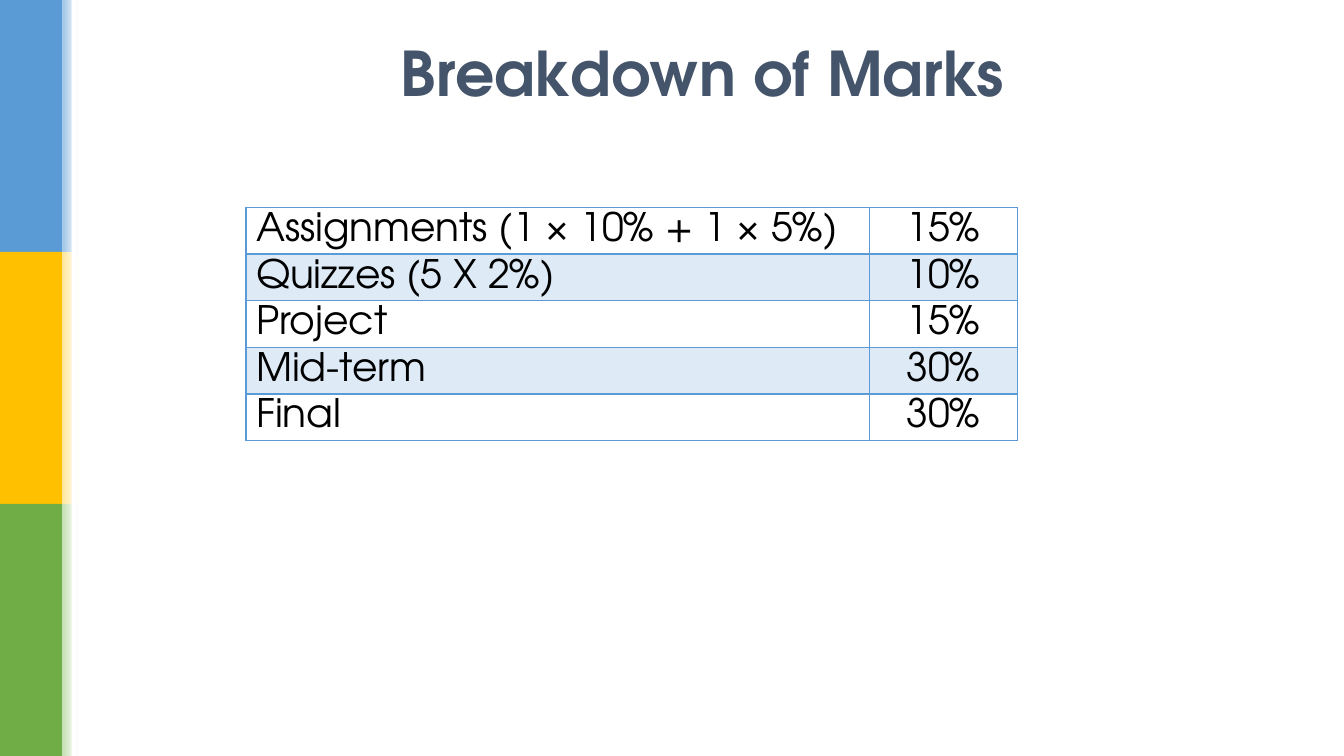
from dataclasses import dataclass

from lxml.etree import SubElement
from pptx import Presentation
from pptx.dml.color import RGBColor
from pptx.enum.shapes import MSO_SHAPE as Preset
from pptx.enum.text import MSO_ANCHOR as Anchor, PP_ALIGN as Align
from pptx.oxml.ns import qn
from pptx.util import Inches, Pt

FONT = "TeX Gyre Adventor"
WHITE, BLACK, SLATE = "FFFFFF", "000000", "44546A"
BLUE, PALE_BLUE = "5B9BD5", "DEEBF7"
SLIDE_HEIGHT = 7.5
BAND_HEIGHT = SLIDE_HEIGHT / 3
BAND_WIDTH, FADE_WIDTH = 0.62, 0.16
COLUMN_WIDTHS = (6.18, 1.47)
ROW_HEIGHT, CELL_MARGIN = 0.46, 0.05


@dataclass
class Band:
    """One colour of the side bar and the tint that fades out beside it."""
    color: str
    tint: str


@dataclass
class Mark:
    """One graded item and its share of the marks."""
    item: str
    share: str


BANDS = [Band(BLUE, "9DC3E6"), Band("FFC000", "FFE699"), Band("70AD47", "C5E0B4")]
MARKS = [
    Mark("Assignments (1 × 10% + 1 × 5%)", "15%"),
    Mark("Quizzes (5 X 2%)", "10%"),
    Mark("Project", "15%"),
    Mark("Mid-term", "30%"),
    Mark("Final", "30%"),
]


def rgb(color: str) -> RGBColor:
    """Turn a hex string into a colour."""
    return RGBColor.from_string(color)


def add_bar(slide, left: float, top: float, width: float, height: float,
            color: str, fade_to: str | None = None) -> None:
    """Add a plain rectangle, fading to the right if fade_to is given."""
    shape = slide.shapes.add_shape(
        Preset.RECTANGLE, Inches(left), Inches(top), Inches(width), Inches(height))
    shape.shadow.inherit = False
    shape.line.fill.background()
    if fade_to is None:
        shape.fill.solid()
        shape.fill.fore_color.rgb = rgb(color)
        return
    shape.fill.gradient()
    shape.fill.gradient_angle = 0
    for stop, stop_color in zip(shape.fill.gradient_stops, (color, fade_to)):
        stop.color.rgb = rgb(stop_color)


def add_side_bar(slide) -> None:
    """Add the coloured bands, their fading edges and the white strip."""
    for index, band in enumerate(BANDS):
        top = index * BAND_HEIGHT
        add_bar(slide, 0, top, BAND_WIDTH, BAND_HEIGHT, band.color)
        add_bar(slide, BAND_WIDTH, top, FADE_WIDTH, BAND_HEIGHT, band.tint, WHITE)
    add_bar(slide, 0.71, 0, 0.05, SLIDE_HEIGHT, WHITE)


def format_text(paragraph, size: int, color: str, align: Align, bold: bool = False) -> None:
    """Set the font and alignment of a paragraph."""
    paragraph.alignment = align
    font = paragraph.font
    font.name, font.size, font.bold = FONT, Pt(size), bold
    font.color.rgb = rgb(color)


def add_title(slide, text: str) -> None:
    """Fill and place the title placeholder."""
    title = slide.shapes.title
    title.left, title.top = Inches(0.92), Inches(0.17)
    title.width, title.height = Inches(12.1), Inches(1.09)
    title.text_frame.text = text
    title.text_frame.vertical_anchor = Anchor.MIDDLE
    format_text(title.text_frame.paragraphs[0], 44, SLATE, Align.CENTER, bold=True)


def set_borders(cell, bottom_width: int) -> None:
    """Draw blue borders on all four sides of a cell, ahead of its fill."""
    properties = cell._tc.get_or_add_tcPr()
    widths = {"a:lnL": 1, "a:lnR": 1, "a:lnT": 1, "a:lnB": bottom_width}
    for index, (tag, width) in enumerate(widths.items()):
        line = SubElement(properties, qn(tag), w=str(Pt(width)))
        fill = SubElement(line, qn("a:solidFill"))
        SubElement(fill, qn("a:srgbClr"), val=BLUE)
        properties.insert(index, line)


def add_marks_table(slide) -> None:
    """Add the table of marks with alternating row fills."""
    table = slide.shapes.add_table(
        len(MARKS), len(COLUMN_WIDTHS), Inches(2.44), Inches(2.06),
        Inches(sum(COLUMN_WIDTHS)), Inches(ROW_HEIGHT * len(MARKS))).table
    table.first_row = table.horz_banding = False
    for column, width in zip(table.columns, COLUMN_WIDTHS):
        column.width = Inches(width)
    for row, mark in enumerate(MARKS):
        table.rows[row].height = Inches(ROW_HEIGHT)
        texts = ((mark.item, Align.LEFT), (mark.share, Align.CENTER))
        for column, (text, align) in enumerate(texts):
            cell = table.cell(row, column)
            cell.text = text
            cell.margin_top = cell.margin_bottom = Inches(CELL_MARGIN)
            format_text(cell.text_frame.paragraphs[0], 28, BLACK, align)
            cell.fill.solid()
            cell.fill.fore_color.rgb = rgb(PALE_BLUE if row % 2 else WHITE)
            set_borders(cell, bottom_width=2 if row == 0 else 1)


def main() -> None:
    """Build the slide and save it."""
    presentation = Presentation()
    presentation.slide_width = Inches(13.33)
    presentation.slide_height = Inches(SLIDE_HEIGHT)
    slide = presentation.slides.add_slide(presentation.slide_layouts[5])
    add_side_bar(slide)
    add_title(slide, "Breakdown of Marks")
    add_marks_table(slide)
    presentation.save("out.pptx")


main()
